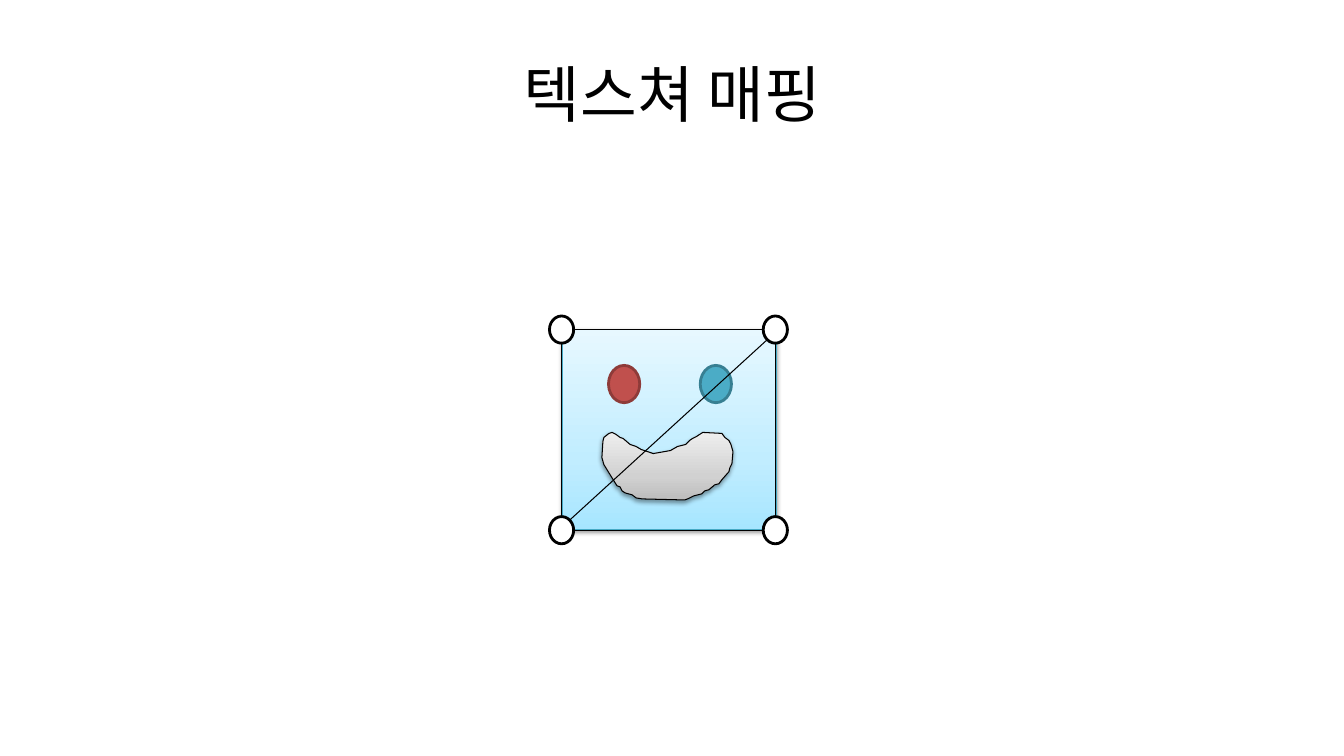
from dataclasses import dataclass
from itertools import product

from copy import deepcopy
from lxml import etree
from pptx import Presentation
from pptx import util as u
from pptx.dml.color import RGBColor
from pptx.enum import shapes, text
from pptx.oxml import ns

FONT = "Noto Sans CJK KR"
BLACK = "000000"
LEFT, RIGHT, TOP, BOTTOM = 5.57, 7.69, 3.27, 5.26
NODE_WIDTH, NODE_HEIGHT = 0.24, 0.27


@dataclass
class Oval:
    center_x: float
    center_y: float
    width: float
    height: float
    fill: str
    line: str


@dataclass
class Edge:
    start: tuple[float, float]
    end: tuple[float, float]


EYES = [
    Oval(6.19, 3.81, 0.31, 0.37, "C0504D", "8E3B39"),
    Oval(7.1, 3.81, 0.31, 0.37, "4BACC6", "377F92"),
]
NODES = [Oval(x, y, NODE_WIDTH, NODE_HEIGHT, "FFFFFF", BLACK)
         for y, x in product((TOP, BOTTOM), (LEFT, RIGHT))]

# Edges run from rim to rim of the corner nodes
RIM_X, RIM_Y = NODE_WIDTH / 2, NODE_HEIGHT / 2
EDGES = [Edge((x, TOP + RIM_Y), (x, BOTTOM - RIM_Y)) for x in (LEFT, RIGHT)]
EDGES += [Edge((LEFT + RIM_X, y), (RIGHT - RIM_X, y)) for y in (TOP, BOTTOM)]
EDGES.append(Edge((LEFT + 0.08, BOTTOM - 0.1), (RIGHT - 0.08, TOP + 0.1)))

# Mouth outline in hundredths of an inch
MOUTH = [
    (607, 474), (599, 461), (597, 454), (598, 438), (599, 434),
    (604, 430), (607, 429), (611, 431), (615, 434), (618, 435),
    (625, 441), (631, 443), (636, 446), (648, 450), (665, 447),
    (672, 443), (680, 441), (684, 437), (687, 435), (691, 433),
    (697, 429), (716, 430), (719, 434), (723, 437), (725, 441),
    (727, 448), (726, 460), (724, 464), (723, 468), (716, 476),
    (713, 480), (709, 481), (703, 486), (699, 487), (696, 490),
    (688, 492), (682, 495), (679, 496), (637, 495), (631, 494),
    (627, 491), (620, 489), (617, 487), (615, 483), (612, 482),
]


def color(value: str) -> RGBColor:
    return RGBColor.from_string(value)


def set_line(shape, value: str, width: float) -> None:
    shape.line.color.rgb = color(value)
    shape.line.width = u.Pt(width)


def add_oval(parent, oval: Oval) -> None:
    shape = parent.add_shape(
        shapes.MSO_SHAPE.OVAL,
        u.Inches(oval.center_x - oval.width / 2),
        u.Inches(oval.center_y - oval.height / 2),
        u.Inches(oval.width), u.Inches(oval.height))
    shape.fill.solid()
    shape.fill.fore_color.rgb = color(oval.fill)
    set_line(shape, oval.line, 2)
    shape.shadow.inherit = False


def add_edge(parent, edge: Edge) -> None:
    connector = parent.add_connector(
        shapes.MSO_CONNECTOR.STRAIGHT,
        *(u.Inches(value) for value in edge.start + edge.end))
    set_line(connector, BLACK, 0.75)
    etree.SubElement(connector._element.spPr, ns.qn("a:effectLst"))


def shade(shape, stops: list[str], line: str) -> None:
    """Apply a rising gradient, a thin outline and a soft shadow below."""
    shape.fill.gradient()
    shape.fill.gradient_angle = 90
    stop_list = shape._element.spPr.find(".//" + ns.qn("a:gsLst"))
    stop_list.append(deepcopy(stop_list[0]))
    for stop, position, value in zip(shape.fill.gradient_stops, (0, 0.35, 1), stops):
        stop.position = position
        stop.color.rgb = color(value)
    set_line(shape, line, 0.75)
    shape.shadow.inherit = False
    effects = shape._element.spPr.find(ns.qn("a:effectLst"))
    shadow = etree.SubElement(
        effects, ns.qn("a:outerShdw"), blurRad="40000", dist="20000",
        dir="5400000", rotWithShape="0")
    tone = etree.SubElement(shadow, ns.qn("a:srgbClr"), val=BLACK)
    etree.SubElement(tone, ns.qn("a:alpha"), val="38000")


def add_title(slide, words: str) -> None:
    title = slide.shapes.add_textbox(
        u.Inches(0.67), u.Inches(0.3), u.Inches(12), u.Inches(1.25))
    title.text_frame.word_wrap = True
    title.text_frame.vertical_anchor = text.MSO_ANCHOR.MIDDLE
    heading = title.text_frame.paragraphs[0]
    heading.text = words
    heading.alignment = text.PP_ALIGN.CENTER
    heading.font.size = u.Pt(44)
    heading.font.name = FONT
    heading.font.color.rgb = color(BLACK)
    latin = heading._p.find(".//" + ns.qn("a:latin"))
    latin.addnext(latin.makeelement(ns.qn("a:ea"), {"typeface": FONT}))


def add_face(slide) -> None:
    face = slide.shapes.add_group_shape().shapes
    texture = face.add_shape(
        shapes.MSO_SHAPE.RECTANGLE, u.Inches(5.58), u.Inches(TOP),
        u.Inches(2.12), u.Inches(1.98))
    shade(texture, ["A7E6FF", "C1EDFF", "E7F8FF"], "46AAC5")
    for eye in EYES:
        add_oval(face, eye)
    outline = face.build_freeform(*MOUTH[0], scale=u.Inches(0.01))
    outline.add_line_segments(MOUTH[1:], close=True)
    shade(outline.convert_to_shape(), ["BDBDBD", "D1D1D1", "EEEEEE"], BLACK)


def main() -> None:
    deck = Presentation()
    deck.slide_width, deck.slide_height = u.Inches(13.33), u.Inches(7.5)
    slide = deck.slides.add_slide(deck.slide_layouts[6])

    # Textured face and title
    add_face(slide)
    add_title(slide, "텍스쳐 매핑")

    # Mesh of two triangles over the face
    for node in NODES:
        add_oval(slide.shapes, node)
    for edge in EDGES:
        add_edge(slide.shapes, edge)

    deck.save("out.pptx")


if __name__ == "__main__":
    main()
